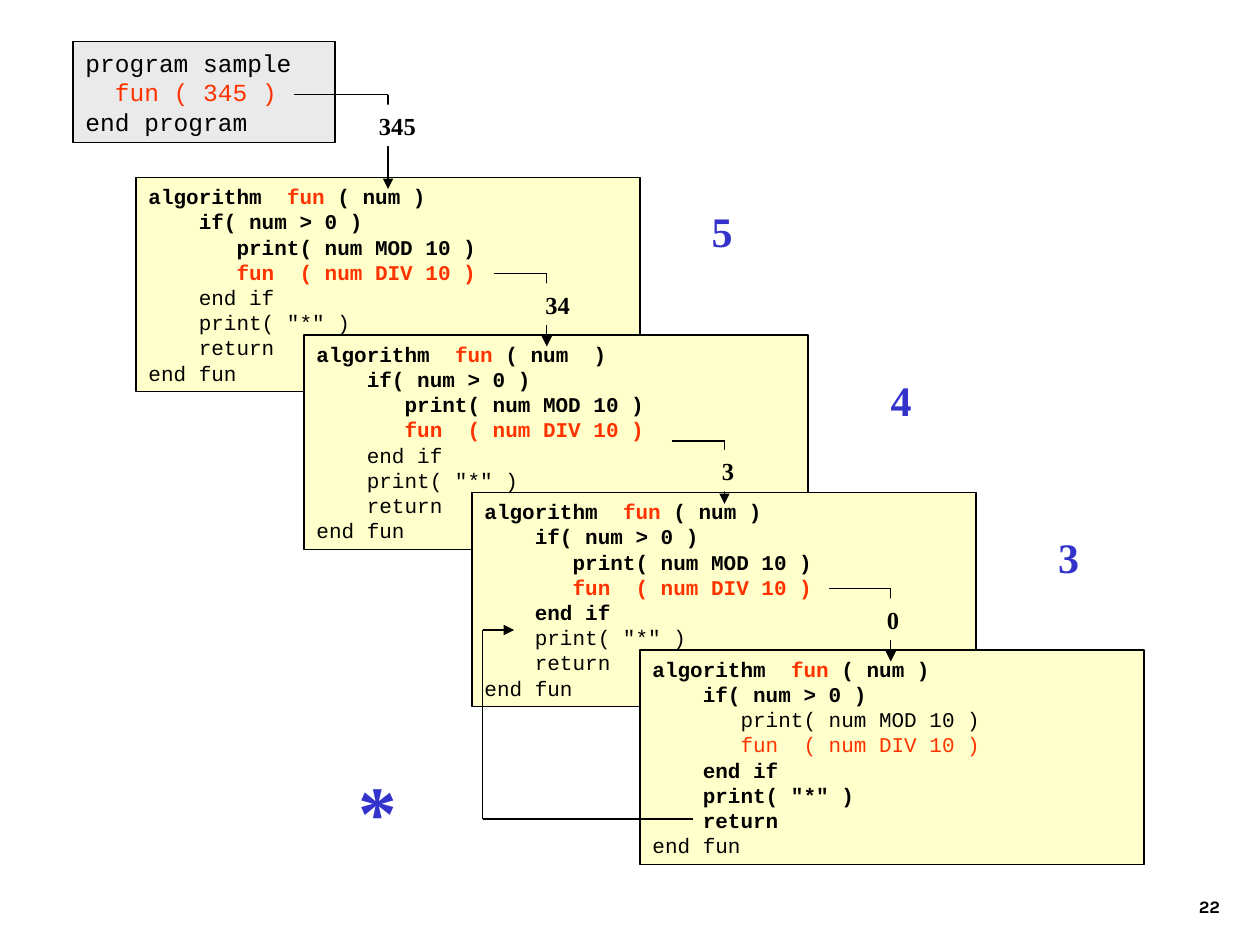
"""Build a slide tracing the recursive calls of fun ( 345 )."""
import pptx
import pptx.dml.color
import pptx.enum.shapes
import pptx.enum.text
import pptx.oxml.ns
import pptx.util
from lxml import etree
from pptx.util import Inches

BLACK, RED, BLUE = "000000", "FF3300", "3333CC"
CREAM, GRAY, WHITE = "FFFFCC", "EAEAEA", "FFFFFF"
CODE_FONT, NUMBER_FONT, PAGE_FONT = "Courier New", "Times New Roman", "Karla"

PROGRAM = [[("program sample", BLACK)], [("  fun ( 345 )", RED)], [("end program", BLACK)]]
ALGORITHM_BODY = [
    [("    if( num > 0 )", BLACK)],
    [("       print( num MOD 10 )", BLACK)],
    [("       fun  ( num DIV 10 )", RED)],
    [("    end if", BLACK)],
    [('    print( "*" )', BLACK)],
    [("    return", BLACK)],
    [("end fun", BLACK)],
]
CALLS = [
    {"parameter": "( num )", "bold_lines": {0, 1, 2, 3}, "argument": "345", "label": (2.91, 0.83, 0.54),
     "fill": WHITE, "arrow": [(2.33, 0.75), (3.08, 0.75), (3.08, 1.5)]},
    {"parameter": "( num  )", "bold_lines": {0, 1, 2, 3}, "argument": "34", "label": (4.23, 2.25, 0.44),
     "fill": CREAM, "arrow": [(3.92, 2.17), (4.34, 2.17), (4.34, 2.75)]},
    {"parameter": "( num )", "bold_lines": {0, 1, 2, 3, 4}, "argument": "3", "label": (5.63, 3.57, 0.32),
     "fill": CREAM, "arrow": [(5.33, 3.5), (5.75, 3.5), (5.75, 4)]},
    {"parameter": "( num )", "bold_lines": {0, 1, 4, 5, 6}, "argument": "0", "label": (6.94, 4.75, 0.32),
     "fill": CREAM, "arrow": [(6.58, 4.67), (7.07, 4.67), (7.07, 5.25)]},
]
RETURN_ARROW = [(5.5, 6.5), (3.83, 6.5), (3.83, 5), (4.08, 5)]
OUTPUTS = [
    ("5", 24, (5.55, 1.58, 0.36, 0.5)),
    ("4", 24, (6.97, 2.92, 0.36, 0.5)),
    ("3", 24, (8.3, 4.17, 0.36, 0.5)),
    ("*", 44, (2.75, 6.01, 0.76, 0.8)),
]
FIRST_LEFT, FIRST_TOP = 1.08, 1.41
STEP_RIGHT, STEP_DOWN = 4 / 3, 1.25
BOX_WIDTH, BOX_HEIGHT = 4, 1.7
LABEL_HEIGHT = 0.33


def color(value):
    return pptx.dml.color.RGBColor.from_string(value)


def format_run(run, font, size, ink, bold):
    run.font.name = font
    run.font.size = pptx.util.Pt(size)
    run.font.color.rgb = color(ink)
    run.font.bold = bold


def add_code_box(slide, place, fill, lines, size, bold_lines=()):
    shape = slide.shapes.add_shape(pptx.enum.shapes.MSO_SHAPE.RECTANGLE, *map(Inches, place))
    shape.shadow.inherit = False
    shape.fill.solid()
    shape.fill.fore_color.rgb = color(fill)
    shape.line.color.rgb = color(BLACK)
    shape.line.width = pptx.util.Pt(0.75)
    frame = shape.text_frame
    frame.word_wrap = True
    frame.vertical_anchor = pptx.enum.text.MSO_ANCHOR.TOP
    for index, parts in enumerate(lines):
        paragraph = frame.add_paragraph() if index else frame.paragraphs[0]
        paragraph.alignment = pptx.enum.text.PP_ALIGN.LEFT
        for text, ink in parts:
            run = paragraph.add_run()
            run.text = text
            format_run(run, CODE_FONT, size, ink, index in bold_lines)


def add_label(slide, place, text, font, size, ink, fill=None):
    shape = slide.shapes.add_textbox(*map(Inches, place))
    if fill:
        shape.fill.solid()
        shape.fill.fore_color.rgb = color(fill)
    shape.text_frame.word_wrap = False
    shape.text_frame.text = text
    format_run(shape.text_frame.paragraphs[0].runs[0], font, size, ink, True)
    return shape


def add_arrow(slide, points):
    for start, end in zip(points, points[1:]):
        connector = slide.shapes.add_connector(
            pptx.enum.shapes.MSO_CONNECTOR.STRAIGHT, *map(Inches, start + end))
        connector.line.color.rgb = color(BLACK)
        connector.line.width = pptx.util.Pt(0.75)
        if end == points[-1]:
            line = connector.line._get_or_add_ln()
            etree.SubElement(line, pptx.oxml.ns.qn("a:tailEnd"), type="triangle")
        etree.SubElement(connector._element.spPr, pptx.oxml.ns.qn("a:effectLst"))


def main():
    presentation = pptx.Presentation()
    presentation.slide_width, presentation.slide_height = Inches(10), Inches(7.5)
    slide = presentation.slides.add_slide(presentation.slide_layouts[6])

    add_code_box(slide, (0.58, 0.33, 2.08, 0.8), GRAY, PROGRAM, 14)
    for index, call in enumerate(CALLS):
        place = (FIRST_LEFT + index * STEP_RIGHT, FIRST_TOP + index * STEP_DOWN, BOX_WIDTH, BOX_HEIGHT)
        header = [("algorithm  ", BLACK), ("fun ", RED), (call["parameter"], BLACK)]
        add_code_box(slide, place, CREAM, [header] + ALGORITHM_BODY, 12, call["bold_lines"])
        add_arrow(slide, call["arrow"])
        label_place = call["label"] + (LABEL_HEIGHT,)
        add_label(slide, label_place, call["argument"], NUMBER_FONT, 14, BLACK, call["fill"])
    add_arrow(slide, RETURN_ARROW)

    for text, size, place in OUTPUTS:
        add_label(slide, place, text, NUMBER_FONT, size, BLUE)

    page_number = add_label(slide, (7.7, 6.83, 2.08, 0.5), "22", PAGE_FONT, 10, BLACK)
    page_number.text_frame.word_wrap = True
    page_number.text_frame.vertical_anchor = pptx.enum.text.MSO_ANCHOR.BOTTOM
    page_number.text_frame.paragraphs[0].alignment = pptx.enum.text.PP_ALIGN.RIGHT

    presentation.save("out.pptx")


if __name__ == "__main__":
    main()
